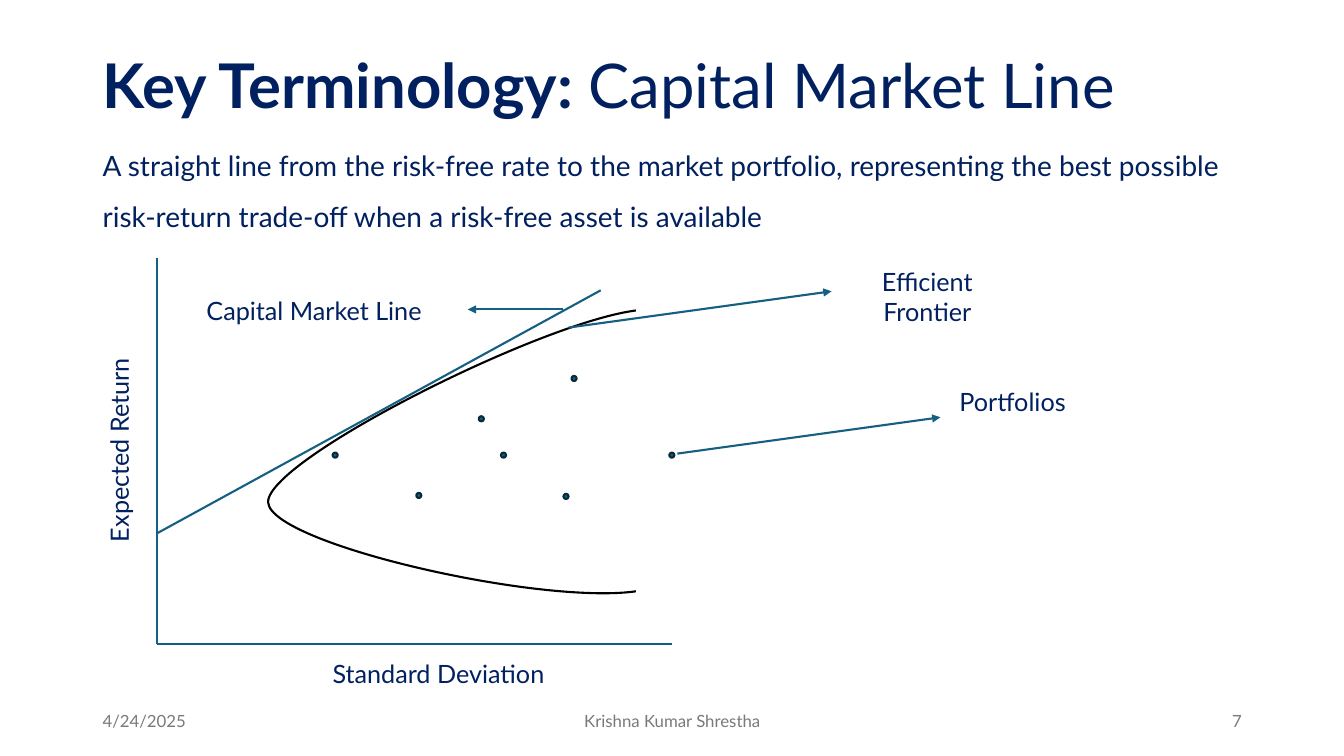
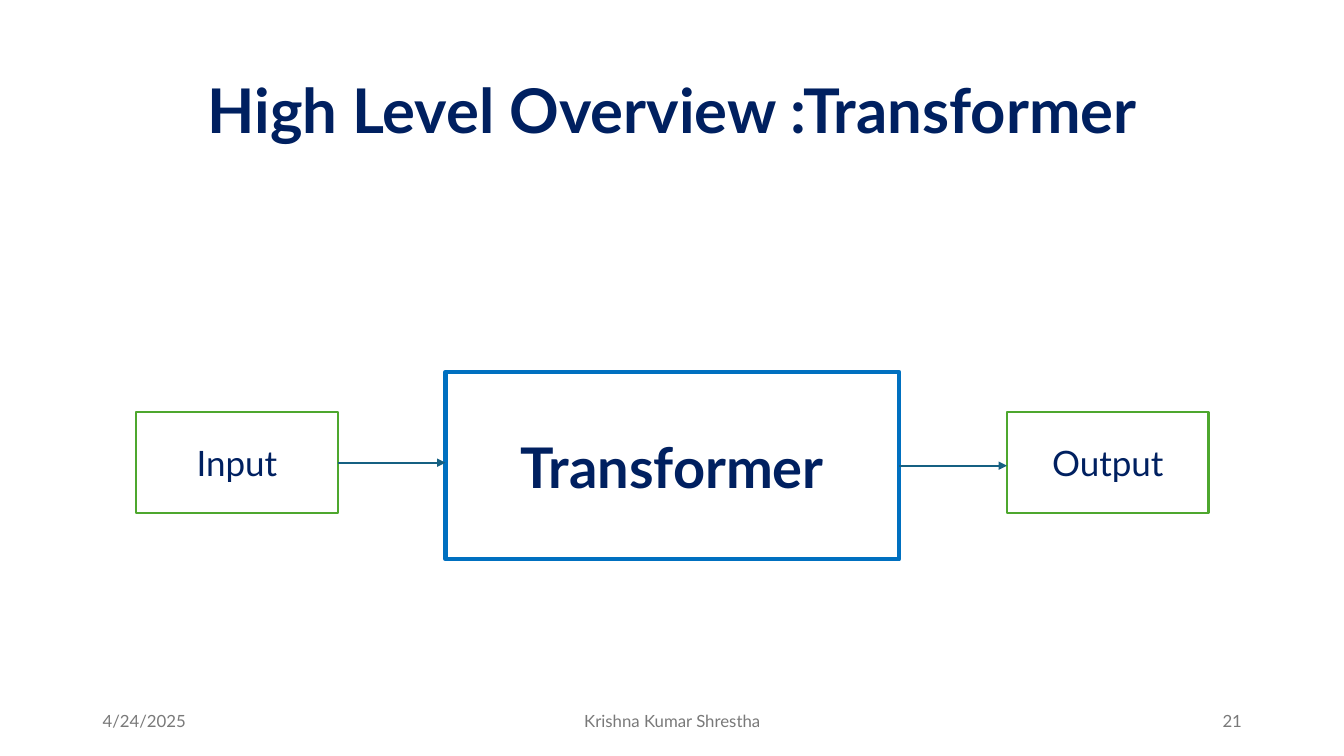
from lxml.etree import SubElement
from pptx import Presentation
from pptx.dml.color import RGBColor
from pptx.enum.shapes import MSO_CONNECTOR, MSO_SHAPE
from pptx.enum.text import MSO_ANCHOR, MSO_AUTO_SIZE, PP_ALIGN
from pptx.oxml.ns import qn
from pptx.util import Inches, Pt

FONT = "Lato"
NAVY, TEAL, GRAY, WHITE = "002060", "156082", "797979", "FFFFFF"
DARK, BLACK, GREEN, BLUE = "092A39", "000000", "4EA72E", "0070C0"
LEFT, MID, RIGHT = PP_ALIGN.LEFT, PP_ALIGN.CENTER, PP_ALIGN.RIGHT
color = RGBColor.from_string


def write(shape, parts, size, align=LEFT, tint=NAVY, anchor=MSO_ANCHOR.TOP, gap=1.0):
    """Fill a shape with one paragraph made of (text, bold) parts."""
    frame = shape.text_frame
    frame.word_wrap = True
    frame.vertical_anchor = anchor
    para = frame.paragraphs[0]
    para.alignment = align
    para.line_spacing = gap
    para.font.name = FONT
    para.font.size = Pt(size)
    para.font.color.rgb = color(tint)
    for text, bold in parts:
        run = para.add_run()
        run.text = text
        run.font.bold = bold


def link(slide, x1, y1, x2, y2, arrow=False):
    """Draw a straight line, with an arrowhead at its end if asked."""
    line = slide.shapes.add_connector(
        MSO_CONNECTOR.STRAIGHT, Inches(x1), Inches(y1), Inches(x2), Inches(y2))
    line.line.color.rgb = color(TEAL)
    line.line.width = Pt(1.5)
    props = line._element.spPr
    if arrow:
        SubElement(props.find(qn("a:ln")), qn("a:tailEnd"), type="triangle")
    SubElement(props, qn("a:effectLst"))


deck = Presentation()
deck.slide_width, deck.slide_height = Inches(40 / 3), Inches(7.5)

# Titles and footers
pages = [
    (0.15, LEFT, [("Key Terminology: ", True), ("Capital Market Line", False)], "7"),
    (0.4, MID, [("High Level Overview :Transformer", True)], "21"),
]
slides = []
for top, align, parts, number in pages:
    slide = deck.slides.add_slide(deck.slide_layouts[5])
    title = slide.shapes.title
    title.left, title.top = Inches(0.92), Inches(top)
    title.width, title.height = Inches(11.5), Inches(1.45)
    write(title, parts, 44, align, anchor=MSO_ANCHOR.MIDDLE, gap=0.9)
    for left, width, text, side in [
        (0.92, 3, "4/24/2025", LEFT),
        (4.42, 4.5, "Krishna Kumar Shrestha", MID),
        (9.42, 3, number, RIGHT),
    ]:
        foot = slide.shapes.add_textbox(
            Inches(left), Inches(6.95), Inches(width), Inches(0.4))
        write(foot, [(text, False)], 12, side, GRAY, MSO_ANCHOR.MIDDLE)
    slides.append(slide)
market, model = slides

# Capital market line: intro
intro = market.shapes.add_textbox(
    Inches(0.92), Inches(1.26), Inches(11.5), Inches(1.06))
write(intro, [("A straight line from the risk-free rate to the market portfolio, "
               "representing the best possible risk-return trade-off when a "
               "risk-free asset is available", False)], 20, gap=1.5)
intro.text_frame.auto_size = MSO_AUTO_SIZE.SHAPE_TO_FIT_TEXT

# Frontier: a closed outline of Bezier arcs
start = (6.53, 3.08)
arcs = [
    [(5.88, 2.94), (2.66, 4.52), (2.66, 4.98)],
    [(2.67, 5.43), (5.91, 6.13), (6.55, 5.8)],
    [(7.19, 5.47), (7.18, 3.21), start],
]
pen = market.shapes.build_freeform(Inches(start[0]), Inches(start[1]))
pen.add_line_segments([(Inches(x), Inches(y)) for x, y in (arc[-1] for arc in arcs)])
curve = pen.convert_to_shape()
curve.left, curve.top = Inches(2.66), Inches(3.07)
curve.width, curve.height = Inches(4.36), Inches(2.82)
track = next(curve._element.iter(qn("a:path")))
for child in list(track):
    track.remove(child)
track.set("w", str(curve.width))
track.set("h", str(curve.height))
for tag, spots in [("a:moveTo", [start])] + [("a:cubicBezTo", arc) for arc in arcs]:
    move = SubElement(track, qn(tag))
    for x, y in spots:
        SubElement(move, qn("a:pt"), x=str(Inches(x) - curve.left),
                   y=str(Inches(y) - curve.top))
SubElement(track, qn("a:close"))
curve.shadow.inherit = False
curve.fill.solid()
curve.fill.fore_color.rgb = color(WHITE)
curve.line.color.rgb = color(BLACK)
curve.line.width = Pt(1.5)

# White cover opens the outline on the right
cover = market.shapes.add_shape(
    MSO_SHAPE.RECTANGLE, Inches(6.31), Inches(2.88), Inches(0.75), Inches(3.07))
cover.shadow.inherit = False
cover.fill.solid()
cover.fill.fore_color.rgb = color(WHITE)
cover.line.fill.background()

# Portfolios
for x, y in [(4.13, 4.89), (3.3, 4.49), (4.97, 4.49), (6.64, 4.49),
             (4.75, 4.13), (5.59, 4.9), (5.67, 3.73)]:
    dot = market.shapes.add_shape(
        MSO_SHAPE.OVAL, Inches(x), Inches(y), Inches(0.05), Inches(0.05))
    dot.shadow.inherit = False
    dot.fill.solid()
    dot.fill.fore_color.rgb = color(TEAL)
    dot.line.color.rgb = color(DARK)
    dot.line.width = Pt(1.5)

# Axes, market line and pointers
link(market, 1.56, 2.56, 1.56, 6.39)
link(market, 6.67, 6.39, 1.56, 6.39)
link(market, 1.56, 5.29, 5.96, 2.88)
link(market, 5.64, 3.25, 8.25, 2.89, arrow=True)
link(market, 6.72, 4.5, 9.33, 4.14, arrow=True)
link(market, 5.59, 3.07, 4.64, 3.07, arrow=True)

# Labels
for left, top, width, height, text, align, upright in [
    (1.56, 6.48, 5.58, 0.42, "Standard Deviation", MID, False),
    (0.98, 2.55, 0.5, 3.83, "Expected Return", MID, True),
    (8.42, 2.59, 1.56, 0.71, "Efficient Frontier", MID, False),
    (9.42, 3.78, 1.56, 0.4, "Portfolios", LEFT, False),
    (1.95, 2.88, 2.64, 0.4, "Capital Market Line", LEFT, False),
]:
    label = market.shapes.add_textbox(
        Inches(left), Inches(top), Inches(width), Inches(height))
    write(label, [(text, False)], 18, align)
    label.text_frame.auto_size = MSO_AUTO_SIZE.SHAPE_TO_FIT_TEXT
    if upright:
        label.text_frame._txBody.bodyPr.set("vert", "vert270")

# Transformer overview
for left, top, width, height, text, size, bold, tint, weight in [
    (1.35, 4.09, 2, 1, "Input", 25, False, GREEN, 1.5),
    (4.42, 3.69, 4.5, 1.86, "Transformer", 40, True, BLUE, 3),
    (9.99, 4.09, 2, 1, "Output", 25, False, GREEN, 1.5),
]:
    box = model.shapes.add_shape(
        MSO_SHAPE.RECTANGLE, Inches(left), Inches(top), Inches(width), Inches(height))
    box.shadow.inherit = False
    box.fill.solid()
    box.fill.fore_color.rgb = color(WHITE)
    box.line.color.rgb = color(tint)
    box.line.width = Pt(weight)
    write(box, [(text, bold)], size, MID, anchor=MSO_ANCHOR.MIDDLE)
link(model, 3.35, 4.59, 4.42, 4.59, arrow=True)
link(model, 8.92, 4.62, 9.99, 4.62, arrow=True)

deck.save("out.pptx")
